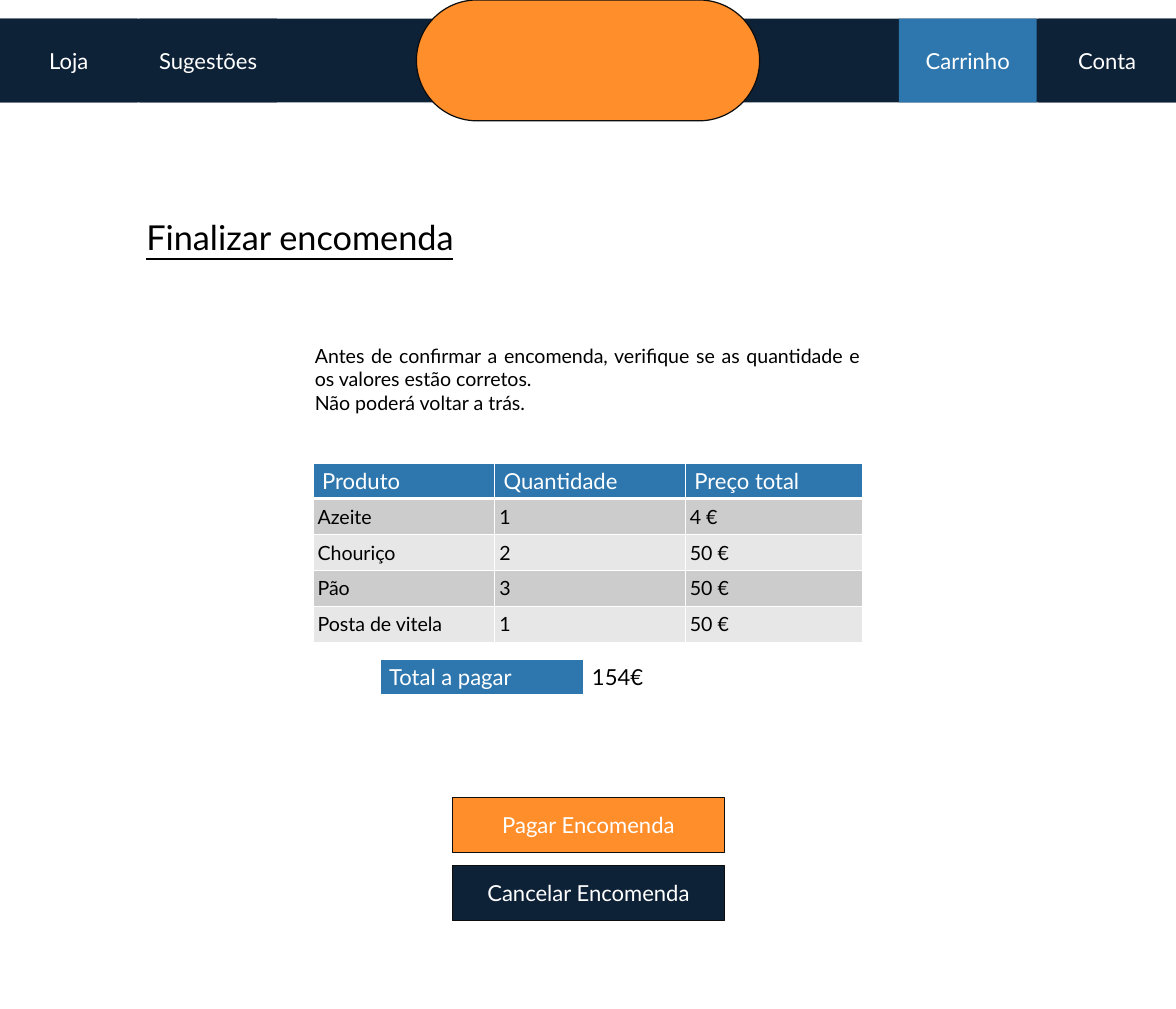
from lxml.etree import SubElement
from pptx import Presentation
from pptx.dml.color import RGBColor
from pptx.enum.shapes import MSO_SHAPE as Shape
from pptx.enum.text import MSO_ANCHOR as Anchor, MSO_AUTO_SIZE as AutoSize, PP_ALIGN as Align
from pptx.oxml.ns import qn
from pptx.util import Pt

PX = 9144  # 100 px to the inch

WHITE, BLACK, EDGE = "FFFFFF", "000000", "0D0D0D"
NAVY, BLUE, ORANGE = "0D2137", "2E77AE", "FF8E2B"
BANDS = ("CCCCCC", "E7E7E7")


def color(hex_text):
    return RGBColor.from_string(hex_text)


def write(frame, text, size=18, ink=WHITE, align=None, underline=None):
    """Write one paragraph per line of text."""
    for index, line in enumerate(text.split("\n")):
        para = frame.add_paragraph() if index else frame.paragraphs[0]
        para.alignment = align
        span = para.add_run()
        span.text = line
        span.font.name = "Lato"
        span.font.size = Pt(size)
        span.font.underline = underline
        span.font.color.rgb = color(ink)


class Page:
    def __init__(self, deck):
        self.shapes = deck.slides.add_slide(deck.slide_layouts[6]).shapes

    def box(self, x, y, width, height, fill, text="", edge=None, corner=0):
        box = self.shapes.add_shape(Shape.ROUNDED_RECTANGLE,
                                    x * PX, y * PX, width * PX, height * PX)
        box.adjustments[0] = corner
        box.shadow.inherit = False
        box.fill.solid()
        box.fill.fore_color.rgb = color(fill)
        if edge:
            box.line.color.rgb = color(edge)
            box.line.width = Pt(1)
        else:
            box.line.fill.background()
        if text:
            box.text_frame.vertical_anchor = Anchor.MIDDLE
            write(box.text_frame, text, align=Align.CENTER)

    def text(self, x, y, width, height, text, **style):
        frame = self.shapes.add_textbox(x * PX, y * PX, width * PX, height * PX).text_frame
        frame.word_wrap = True
        frame.auto_size = AutoSize.SHAPE_TO_FIT_TEXT
        write(frame, text, ink=BLACK, align=Align.JUSTIFY, **style)

    def table(self, x, y, height, widths, rows):
        frame = self.shapes.add_table(len(rows), len(widths), x * PX, y * PX,
                                      sum(widths) * PX, height * PX)
        table = frame.table
        table.first_row = table.horz_banding = False
        for column, width in zip(table.columns, widths):
            column.width = width * PX
        for row in table.rows:
            row.height = height * PX // len(rows)
        for r, values in enumerate(rows):
            for c, value in enumerate(values):
                yield r, table.cell(r, c), value

    def cell(self, cell, text, fill, top=1, bottom=1, **style):
        properties = cell._tc.get_or_add_tcPr()
        for side, width in (("L", 1), ("R", 1), ("T", top), ("B", bottom)):
            line = SubElement(properties, qn(f"a:ln{side}"), w=str(Pt(width)))
            paint = SubElement(line, qn("a:solidFill"))
            SubElement(paint, qn("a:srgbClr"), val=WHITE)
        cell.fill.solid()
        cell.fill.fore_color.rgb = color(fill)
        write(cell.text_frame, text, **style)


def main():
    deck = Presentation()
    deck.slide_width, deck.slide_height = 1333 * PX, 1144 * PX
    page = Page(deck)

    # Heading and order buttons
    page.text(156, 240, 417, 57, "Finalizar encomenda", size=28, underline=True)
    page.box(513, 904, 308, 63, ORANGE, "Pagar Encomenda", edge=EDGE)
    page.box(513, 981, 308, 63, NAVY, "Cancelar Encomenda", edge=EDGE)

    # Products in the order
    products = [
        ("Produto", "Quantidade", "Preço total"),
        ("Azeite", "1", "4 €"),
        ("Chouriço", "2", "50 €"),
        ("Pão", "3", "50 €"),
        ("Posta de vitela", "1", "50 €"),
    ]
    for row, cell, value in page.table(355, 525, 203, (206, 216, 201), products):
        if row == 0:
            page.cell(cell, value, BLUE, bottom=3)
            continue
        cell.vertical_anchor = Anchor.MIDDLE
        cell.margin_left = cell.margin_right = cell.margin_top = cell.margin_bottom = 5 * PX
        page.cell(cell, value, BANDS[(row - 1) % 2], top=3 if row == 1 else 1,
                  size=16, ink=BLACK)

    # Navigation bar with a plain centre shape
    page.box(0, 21, 1333, 95, NAVY)
    page.box(472, 0, 389, 137, ORANGE, edge=EDGE, corner=0.5)
    for x, label, fill in ((1177, "Conta", NAVY), (1019, "Carrinho", BLUE),
                           (0, "Loja", NAVY), (158, "Sugestões", NAVY)):
        page.box(x, 21, 156, 95, fill, label)

    # Warning before confirming
    page.text(347, 385, 638, 91,
              "Antes de confirmar a encomenda, verifique se as quantidade e "
              "os valores estão corretos.\nNão poderá voltar a trás.", size=16)

    # Total
    colors = {"Total a pagar": (BLUE, WHITE), "154€": (WHITE, BLACK)}
    for _, cell, value in page.table(431, 748, 41, (230, 241), [tuple(colors)]):
        fill, ink = colors[value]
        page.cell(cell, value, fill, bottom=3, ink=ink)

    deck.save("out.pptx")


if __name__ == "__main__":
    main()
